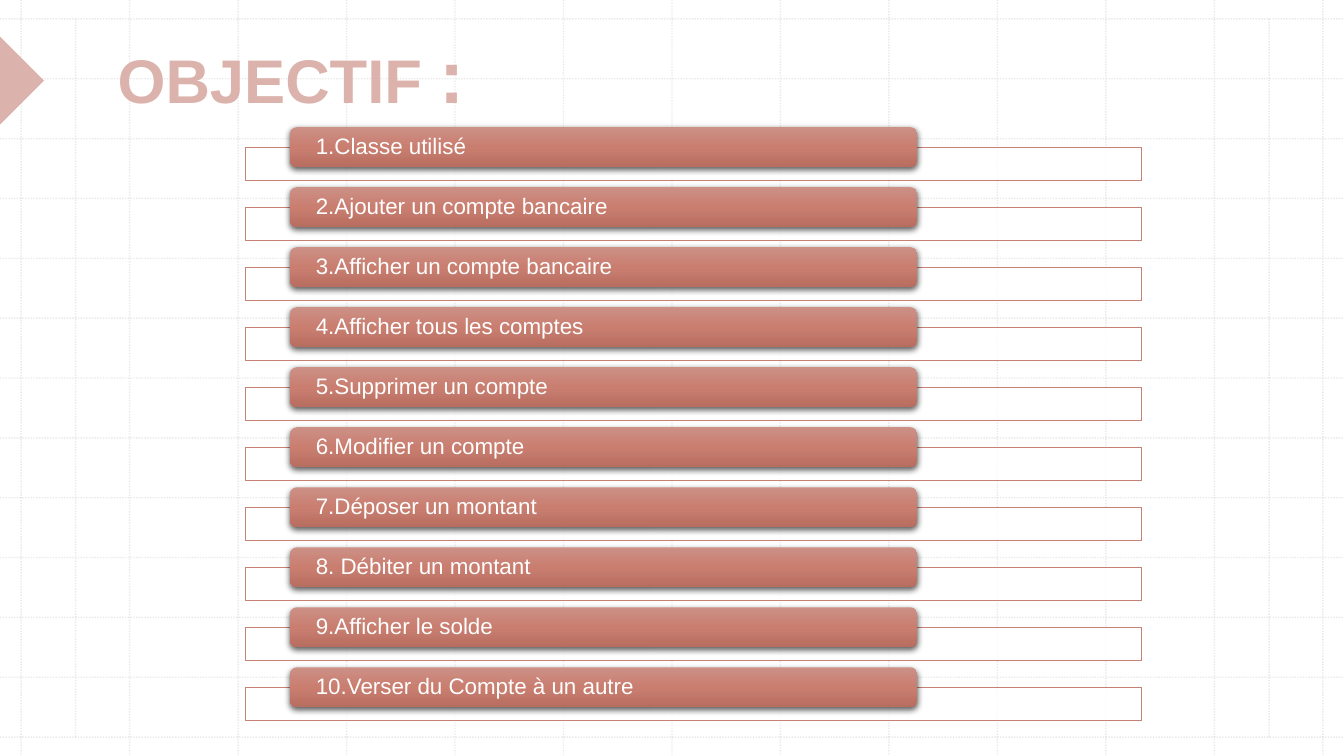
"""Build the "Objectif" slide: a dotted grid, a title and ten numbered bars."""
from copy import deepcopy

from lxml.etree import SubElement
from pptx import Presentation
from pptx.dml.color import RGBColor
from pptx.enum.dml import MSO_LINE
from pptx.enum.shapes import MSO_CONNECTOR, MSO_SHAPE
from pptx.enum.text import MSO_ANCHOR, MSO_AUTO_SIZE
from pptx.oxml.ns import qn
from pptx.util import Pt

COLORS = {
    "grid": "BCBCBC",
    "accent": "DCB3AC",
    "outline": "C58174",
    "bar_top": "CC9085",
    "bar_middle": "C97E70",
    "bar_bottom": "B76D5F",
    "white": "FFFFFF",
    "shadow": "000000",
}
FONT = "Arial"
WIDTH, HEIGHT = 960, 540
OBJECTIVES = [
    "1.Classe utilisé",
    "2.Ajouter un compte bancaire",
    "3.Afficher un compte bancaire",
    "4.Afficher tous les comptes",
    "5.Supprimer un compte",
    "6.Modifier un compte",
    "7.Déposer un montant",
    "8. Débiter un montant",
    "9.Afficher le solde",
    "10.Verser du Compte à un autre",
]


def color(name):
    """Return the named colour."""
    return RGBColor.from_string(COLORS[name])


def set_opacity(properties, percent):
    """Set the opacity of the first colour inside the given properties."""
    value = next(properties.iter(qn("a:srgbClr")))
    SubElement(value, qn("a:alpha"), val=str(percent * 1000))


def add_box(shapes, kind, left, top, width, height):
    """Add a preset shape without outline or shadow."""
    shape = shapes.add_shape(kind, Pt(left), Pt(top), Pt(width), Pt(height))
    shape.shadow.inherit = False
    shape.line.fill.background()
    return shape


def add_text(shapes, text, left, top, width, height):
    """Add a wrapping text box and return its frame."""
    text_box = shapes.add_textbox(Pt(left), Pt(top), Pt(width), Pt(height))
    text_box.text_frame.text = text
    text_box.text_frame.word_wrap = True
    return text_box.text_frame


def format_run(run, size, color_name, bold=False):
    """Apply font, size, colour and weight to a run."""
    run.font.name = FONT
    run.font.size = Pt(size)
    run.font.bold = bold
    run.font.color.rgb = color(color_name)


def add_grid_line(shapes, *ends):
    """Add one faint dotted line between two points."""
    connector = shapes.add_connector(MSO_CONNECTOR.STRAIGHT, *map(Pt, ends))
    connector.line.color.rgb = color("grid")
    connector.line.width = Pt(1)
    connector.line.dash_style = MSO_LINE.ROUND_DOT
    properties = connector._element.spPr
    set_opacity(properties, 30)
    SubElement(properties, qn("a:effectLst"))


def add_grid(slide, left, top, width, height):
    """Draw the background grid with its two margin lines in the given box."""
    shapes = slide.shapes.add_group_shape().shapes
    inset_x, inset_y, steps = 15.1, 13.5, 12
    column_step = (width - 2 * inset_x) / steps
    row_step = (height - 2 * inset_y) / steps
    right, bottom = left + width, top + height
    for index in range(steps + 1):
        x = left + inset_x + index * column_step
        y = top + inset_y + index * row_step
        add_grid_line(shapes, x, top, x, bottom)
        add_grid_line(shapes, left, y, right, y)
    for x in (left + 54, right - 53.5):
        add_grid_line(shapes, x, top + inset_y, x, bottom - inset_y)


def add_title(slide, left, top, width, height):
    """Place the pointer at the slide edge and the title in the given box."""
    pointer = add_box(slide.shapes, MSO_SHAPE.ISOSCELES_TRIANGLE, -16, top + 25.4, 63.2, 31.6)
    pointer.rotation = 90
    pointer.fill.solid()
    pointer.fill.fore_color.rgb = color("accent")
    text_frame = add_text(slide.shapes, "OBJECTIF ", left, top, width, height)
    text_frame.auto_size = MSO_AUTO_SIZE.SHAPE_TO_FIT_TEXT
    paragraph = text_frame.paragraphs[0]
    paragraph.add_run().text = ":"
    for run, size in zip(paragraph.runs, (44, 54)):
        format_run(run, size, "accent", bold=True)


def style_bar(bar):
    """Give a bar its vertical three-colour gradient and soft shadow."""
    bar.fill.gradient()
    bar.fill.gradient_angle = 270
    properties = bar._element.spPr
    stop_list = next(properties.iter(qn("a:gsLst")))
    stop_list.insert(1, deepcopy(stop_list[0]))
    names = ("bar_top", "bar_middle", "bar_bottom")
    for stop, name, position in zip(bar.fill.gradient_stops, names, (0, 0.5, 1)):
        stop.color.rgb = color(name)
        stop.position = position
    shadow = SubElement(
        properties.find(qn("a:effectLst")), qn("a:outerShdw"),
        blurRad=str(Pt(4.5)), dist=str(Pt(1.5)), dir="5400000", rotWithShape="0",
    )
    SubElement(shadow, qn("a:srgbClr"), val=COLORS["shadow"])
    set_opacity(shadow, 63)


def add_objective(slide, text, left, top, width):
    """Add one objective: an outlined frame with a labelled bar over it."""
    shapes = slide.shapes.add_group_shape().shapes
    frame = add_box(shapes, MSO_SHAPE.RECTANGLE, left, top + 14.4, width, 23.6)
    frame.fill.solid()
    frame.fill.fore_color.rgb = color("white")
    set_opacity(frame._element.spPr, 90)
    frame.line.color.rgb = color("outline")
    frame.line.width = Pt(0.5)

    bar_left, bar_width, bar_height = left + width * 0.05, width * 0.7, 28.4
    style_bar(add_box(shapes, MSO_SHAPE.ROUNDED_RECTANGLE, bar_left, top, bar_width, bar_height))

    text_frame = add_text(shapes, text, bar_left + 1.4, top + 1.4, bar_width - 2.8, bar_height - 2.8)
    text_frame.vertical_anchor = MSO_ANCHOR.MIDDLE
    text_frame.margin_left = text_frame.margin_right = Pt(17)
    text_frame.margin_top = text_frame.margin_bottom = 0
    paragraph = text_frame.paragraphs[0]
    paragraph.line_spacing = 0.9
    format_run(paragraph.runs[0], 16, "white")


def add_objectives(slide, left, top, width, height):
    """Spread the objectives evenly down the given box."""
    pitch = height / len(OBJECTIVES)
    for index, text in enumerate(OBJECTIVES):
        add_objective(slide, text, left, top + index * pitch, width)


def main():
    """Build and save the presentation."""
    presentation = Presentation()
    presentation.slide_width, presentation.slide_height = Pt(WIDTH), Pt(HEIGHT)
    slide = presentation.slides.add_slide(presentation.slide_layouts[6])
    add_grid(slide, 0, 0, WIDTH, HEIGHT)
    add_title(slide, 77, 16.4, 388, 72.7)
    add_objectives(slide, 175.2, 90.9, 640, 428.6)
    presentation.save("out.pptx")


if __name__ == "__main__":
    main()
